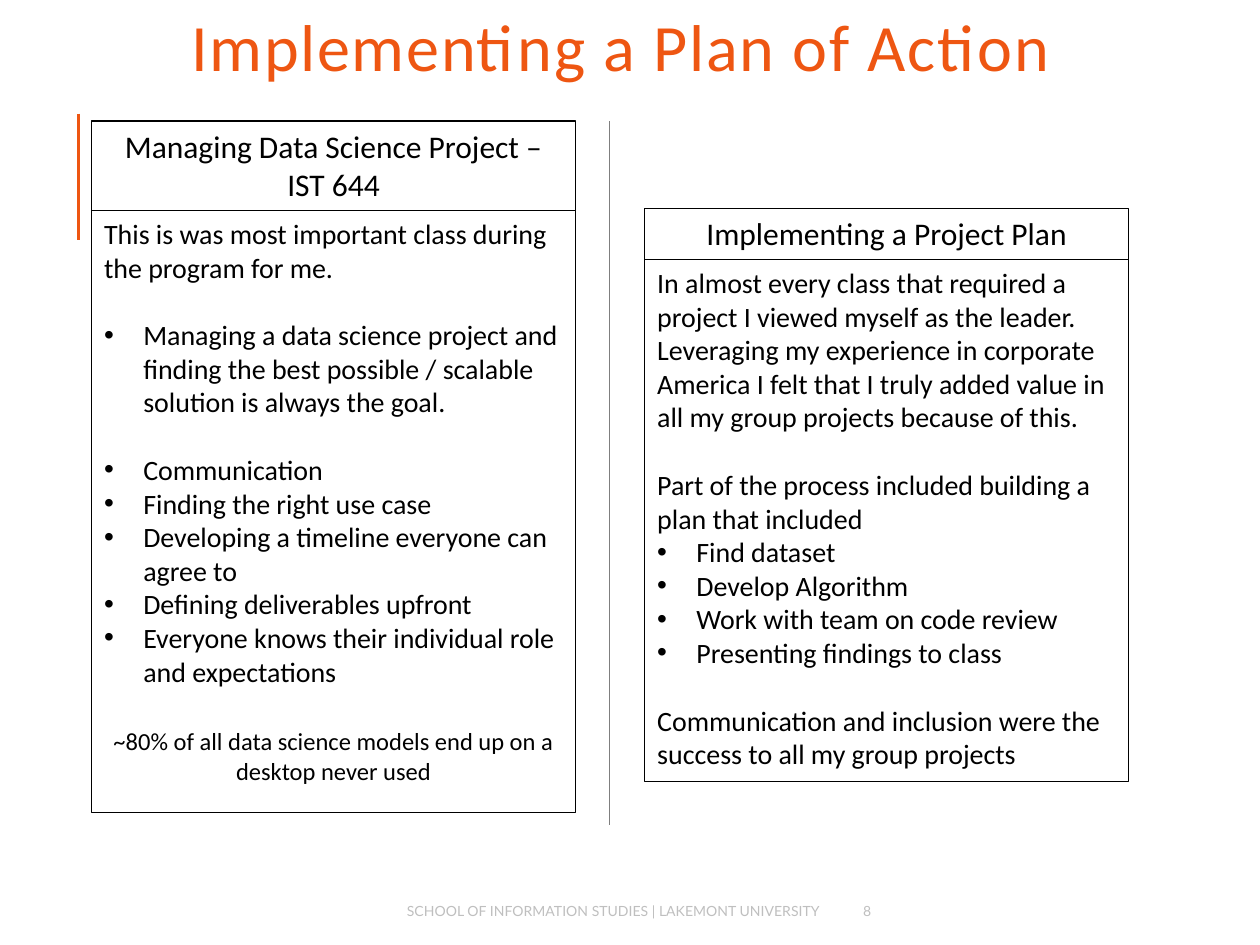
from dataclasses import dataclass

from lxml.etree import SubElement
from pptx import Presentation
from pptx.dml.color import RGBColor
from pptx.enum.shapes import MSO_CONNECTOR, MSO_SHAPE
from pptx.enum.text import MSO_ANCHOR, MSO_AUTO_SIZE, PP_ALIGN
from pptx.oxml.ns import qn
from pptx.util import Cm, Pt

ORANGE = RGBColor(0xEE, 0x56, 0x12)
BLACK = RGBColor(0x00, 0x00, 0x00)
GREY = RGBColor(0x7F, 0x7F, 0x7F)
PALE_GREY = RGBColor(0xBF, 0xBF, 0xBF)

PANEL_WIDTH = 9.75
BLANK_LINE = 19.5  # height in points of one line of 16 pt text


@dataclass
class Line:
    text: str
    bullet: bool = False
    before: float = 0
    size: float = 16
    align: PP_ALIGN = PP_ALIGN.LEFT


@dataclass
class Panel:
    left: float
    top: float
    heading_height: float
    body_height: float
    heading: str
    body: list[Line]


PANELS = [
    Panel(1.85, 2.44, 1.8, 12.14, "Managing Data Science Project – IST 644", [
        Line("This is was most important class during the program for me."),
        Line("Managing a data science project and finding the best possible / "
             "scalable solution is always the goal.", True, BLANK_LINE),
        Line("Communication", True, BLANK_LINE),
        Line("Finding the right use case", True),
        Line("Developing a timeline everyone can agree to", True),
        Line("Defining deliverables upfront", True),
        Line("Everyone knows their individual role and expectations", True),
        Line("~80% of all data science models end up on a desktop never used",
             before=22, size=14, align=PP_ALIGN.CENTER),
    ]),
    Panel(13, 4.2, 1.03, 10.52, "Implementing a Project Plan", [
        Line("In almost every class that required a project I viewed myself as "
             "the leader. Leveraging my experience in corporate America I felt "
             "that I truly added value in all my group projects because of this."),
        Line("Part of the process included building a plan that included",
             before=BLANK_LINE),
        Line("Find dataset", True),
        Line("Develop Algorithm", True),
        Line("Work with team on code review", True),
        Line("Presenting findings to class", True),
        Line("Communication and inclusion were the success to all my group "
             "projects", before=BLANK_LINE),
    ]),
]


def write(paragraph, text: str, *, size: float, font: str = "Calibri",
          color: RGBColor = BLACK, align: PP_ALIGN = PP_ALIGN.LEFT,
          before: float = 0, bullet: bool = False, tracking: int = 0) -> None:
    """Add formatted text to a paragraph; tracking is in 1/100 pt."""
    paragraph.alignment = align
    paragraph.space_before = Pt(before)
    run = paragraph.add_run()
    run.text = text
    run.font.size = Pt(size)
    run.font.name = font
    run.font.color.rgb = color
    if tracking:
        run.font._element.set("spc", str(tracking))
    if bullet:
        properties = paragraph._p.get_or_add_pPr()
        properties.set("marL", str(Cm(0.79)))
        properties.set("indent", str(-Cm(0.79)))
        SubElement(properties, qn("a:buFont")).set("typeface", "Arial")
        SubElement(properties, qn("a:buChar")).set("char", "•")


def draw_box(slide, left: float, top: float, height: float,
             lines: list[Line]) -> None:
    box = slide.shapes.add_shape(MSO_SHAPE.RECTANGLE, Cm(left), Cm(top),
                                 Cm(PANEL_WIDTH), Cm(height))
    box.shadow.inherit = False
    box.fill.background()
    box.line.color.rgb = BLACK
    box.line.width = Pt(0.75)
    frame = box.text_frame
    frame.word_wrap = True
    frame.vertical_anchor = MSO_ANCHOR.TOP
    for index, line in enumerate(lines):
        paragraph = frame.add_paragraph() if index else frame.paragraphs[0]
        write(paragraph, line.text, size=line.size, align=line.align,
              before=line.before, bullet=line.bullet)


def draw_panel(slide, panel: Panel) -> None:
    heading = Line(panel.heading, size=18, align=PP_ALIGN.CENTER)
    draw_box(slide, panel.left, panel.top, panel.heading_height, [heading])
    draw_box(slide, panel.left, panel.top + panel.heading_height,
             panel.body_height, panel.body)


def draw_rule(slide, x: float, top: float, bottom: float, color: RGBColor,
              width: float) -> None:
    rule = slide.shapes.add_connector(MSO_CONNECTOR.STRAIGHT, Cm(x), Cm(top),
                                      Cm(x), Cm(bottom))
    rule.line.color.rgb = color
    rule.line.width = Pt(width)
    SubElement(rule._element.spPr, qn("a:effectLst"))


def draw_footer(slide, left: float, width: float, text: str,
                align: PP_ALIGN) -> None:
    footer = slide.shapes.add_textbox(Cm(left), Cm(17.98), Cm(width), Cm(0.76))
    frame = footer.text_frame
    frame.word_wrap = True
    frame.vertical_anchor = MSO_ANCHOR.MIDDLE
    write(frame.paragraphs[0], text, size=8, font="Lato", color=PALE_GREY,
          align=align)


def main() -> None:
    deck = Presentation()
    deck.slide_width, deck.slide_height = Cm(25.4), Cm(19.05)
    slide = deck.slides.add_slide(deck.slide_layouts[5])

    # Title
    title = slide.shapes.title
    title.left, title.top = Cm(0.25), Cm(0.3)
    title.width, title.height = Cm(24.54), Cm(1.52)
    title.text_frame.auto_size = MSO_AUTO_SIZE.NONE
    title.text_frame.vertical_anchor = MSO_ANCHOR.MIDDLE
    headline = title.text_frame.paragraphs[0]
    headline.line_spacing = 0.8
    write(headline, "Implementing a Plan of Action", size=37.8, color=ORANGE,
          align=PP_ALIGN.CENTER, tracking=100)

    # Accent rule and column divider
    draw_rule(slide, 1.58, 2.29, 4.83, ORANGE, 1.5)
    draw_rule(slide, 12.29, 2.44, 16.64, GREY, 0.75)

    # Panels
    for panel in PANELS:
        draw_panel(slide, panel)

    # Footer
    draw_footer(slide, 4.8, 11.99,
                "SCHOOL OF INFORMATION STUDIES | LAKEMONT UNIVERSITY",
                PP_ALIGN.RIGHT)
    draw_footer(slide, 17.15, 2.31, "8", PP_ALIGN.LEFT)

    deck.save("out.pptx")


if __name__ == "__main__":
    main()
